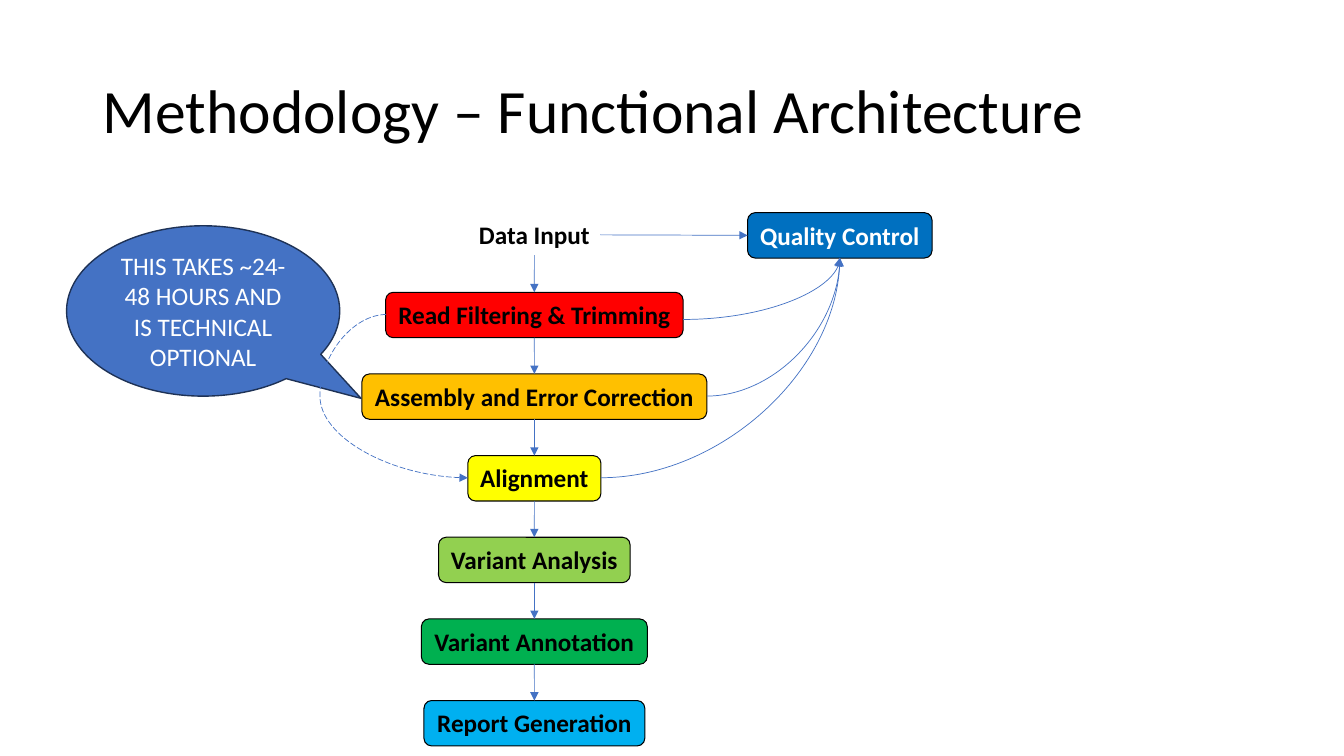
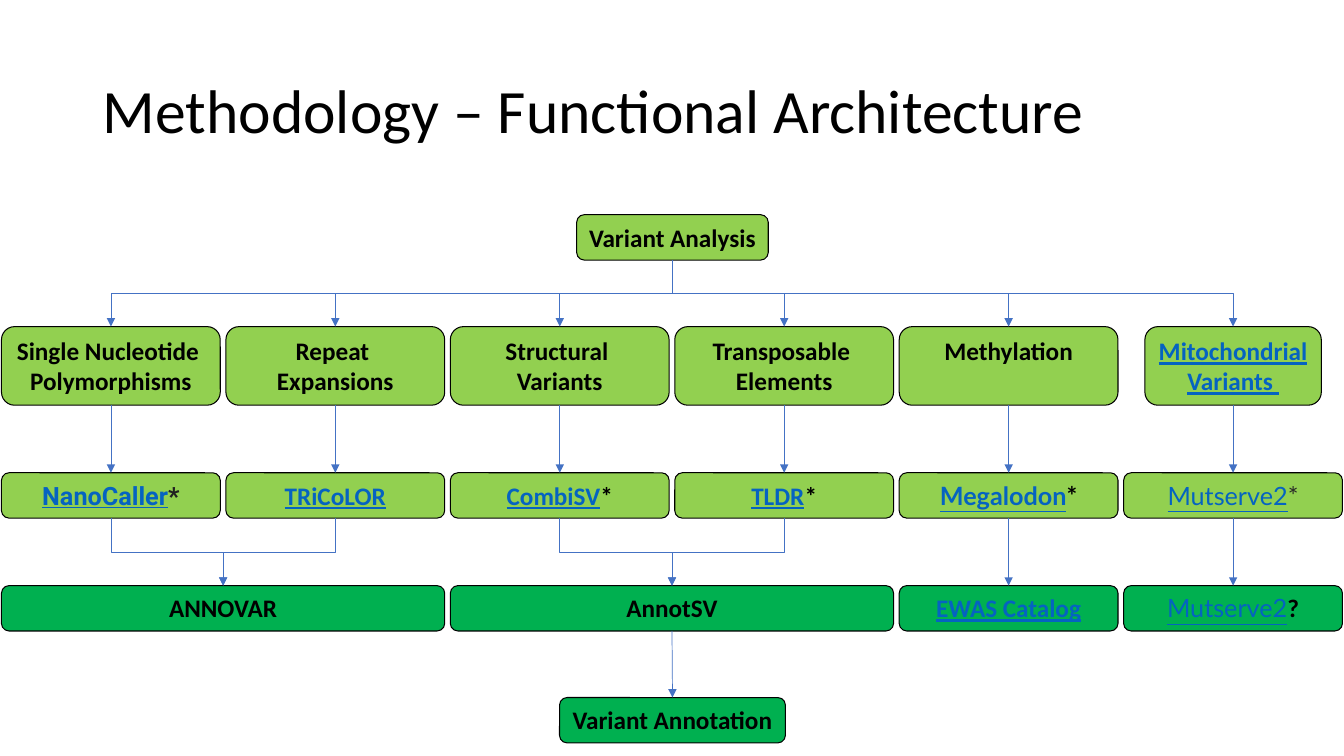
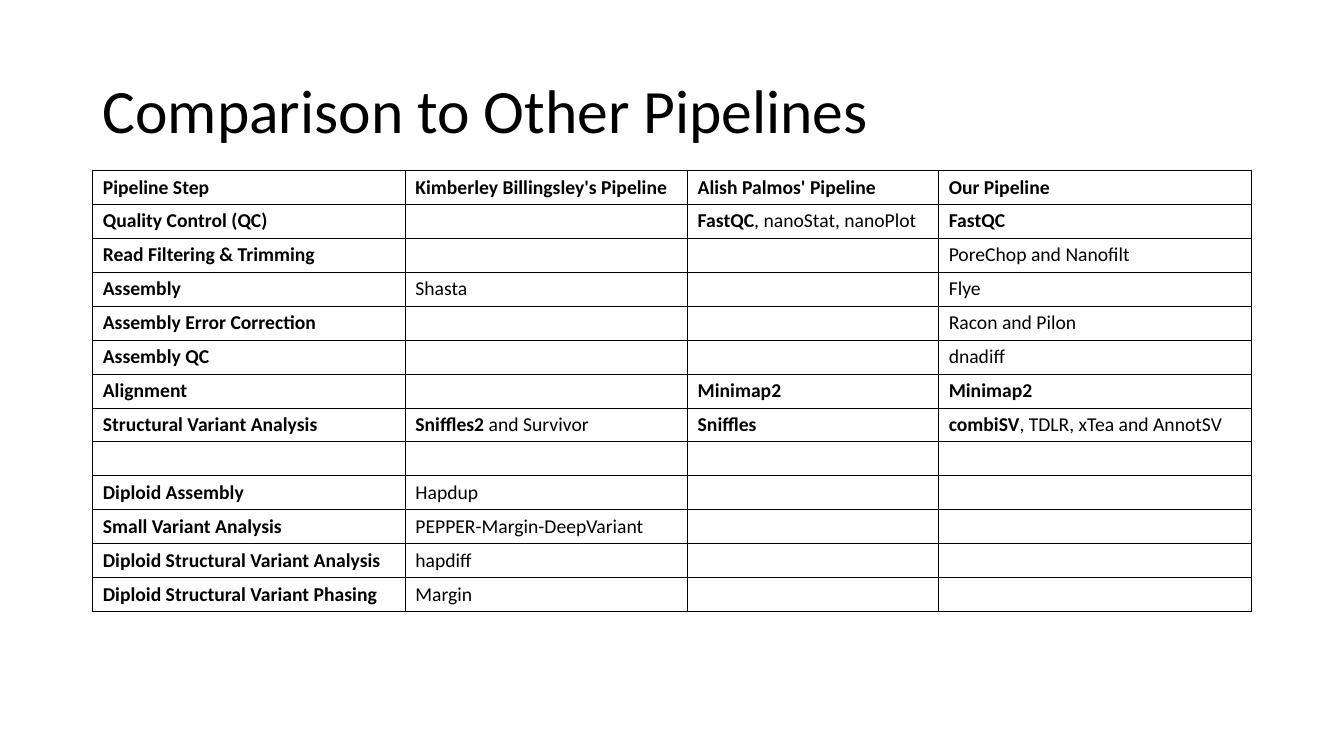
from dataclasses import dataclass
from typing import NamedTuple

import lxml.etree
import pptx
import pptx.dml.color
import pptx.enum.dml
import pptx.enum.shapes
import pptx.enum.text
import pptx.oxml.ns
import pptx.util

COLORS = {
    "black": "000000", "white": "FFFFFF", "blue": "4472C4", "navy": "1E3256",
    "red": "FF0000", "orange": "FFC000", "yellow": "FFFF00", "lime": "92D050",
    "green": "00B050", "sky": "00B0F0", "control": "0070C0", "link": "0563C1",
    "gray21": "212121", "gray28": "282828",
}
FONT = "Calibri"
BOX_H = 0.45
TALL_H = 0.78

Inches = pptx.util.Inches
qn = pptx.oxml.ns.qn
SHAPE = pptx.enum.shapes.MSO_SHAPE
CONNECTOR = pptx.enum.shapes.MSO_CONNECTOR
ANCHOR = pptx.enum.text.MSO_ANCHOR
ALIGN = pptx.enum.text.PP_ALIGN
BOTTOM, RIGHT, TOP, LEFT = 2, 3, 0, 1


@dataclass(frozen=True)
class Run:
    text: str
    color: str = "black"
    bold: bool = True
    underline: bool = False
    font: str = FONT
    size: int = 18


@dataclass(frozen=True)
class Box:
    """A rounded box, placed by its centre line and its top."""
    cx: float
    top: float
    width: float
    fill: str
    lines: list[list[Run]]
    height: float = BOX_H


class Cell(NamedTuple):
    """Table text: a bold part followed by a regular part."""
    bold: str = ""
    regular: str = ""


def rgb(name: str) -> pptx.dml.color.RGBColor:
    return pptx.dml.color.RGBColor.from_string(COLORS[name])


def link(text: str, font: str = FONT, bold: bool = True) -> Run:
    return Run(text, "link", bold, True, font)


def plain_lines(*texts: str) -> list[list[Run]]:
    return [[Run(text)] for text in texts]


def add_run(p, run: Run) -> None:
    r = p.add_run()
    r.text = run.text
    r.font.name = run.font
    r.font.size = pptx.util.Pt(run.size)
    r.font.bold = run.bold
    r.font.underline = run.underline
    r.font.color.rgb = rgb(run.color)


def fill_text(tf, lines: list[list[Run]], align=ALIGN.CENTER) -> None:
    for i, runs in enumerate(lines):
        p = tf.add_paragraph() if i else tf.paragraphs[0]
        p.alignment = align
        for run in runs:
            add_run(p, run)


def add_slide(prs, title: str):
    s = prs.slides.add_slide(prs.slide_layouts[6])
    sp = s.shapes.add_textbox(Inches(0.92), Inches(0.4), Inches(11.5), Inches(1.45))
    tf = sp.text_frame
    tf.word_wrap = True
    tf.vertical_anchor = ANCHOR.MIDDLE
    fill_text(tf, [[Run(title, bold=False, size=44)]], ALIGN.LEFT)
    tf.paragraphs[0].line_spacing = 0.9
    return s


def add_shape(s, kind, left: float, top: float, width: float, height: float,
              fill: str, line: str, line_pt: float):
    sp = s.shapes.add_shape(kind, Inches(left), Inches(top), Inches(width), Inches(height))
    sp.shadow.inherit = False
    sp.fill.solid()
    sp.fill.fore_color.rgb = rgb(fill)
    sp.line.color.rgb = rgb(line)
    sp.line.width = pptx.util.Pt(line_pt)
    return sp


def add_box(s, box: Box):
    sp = add_shape(s, SHAPE.ROUNDED_RECTANGLE, box.cx - box.width / 2, box.top,
                   box.width, box.height, box.fill, "black", 0.75)
    sp.text_frame.word_wrap = False
    sp.text_frame.vertical_anchor = ANCHOR.TOP
    fill_text(sp.text_frame, box.lines)
    return sp


def add_line(s, kind, x1: float, y1: float, x2: float, y2: float, dashed: bool = False):
    """Draw a thin blue connector with an arrowhead at its end."""
    cxn = s.shapes.add_connector(kind, Inches(x1), Inches(y1), Inches(x2), Inches(y2))
    cxn.line.color.rgb = rgb("blue")
    cxn.line.width = pptx.util.Pt(0.5)
    if dashed:
        cxn.line.dash_style = pptx.enum.dml.MSO_LINE.LONG_DASH
    props = cxn._element.spPr
    lxml.etree.SubElement(props.find(qn("a:ln")), qn("a:tailEnd"), type="triangle")
    lxml.etree.SubElement(props, qn("a:effectLst"))
    return cxn


def join(s, start, end, start_side: int = BOTTOM, end_side: int = TOP) -> None:
    cxn = add_line(s, CONNECTOR.STRAIGHT, 0, 0, 1, 1)
    cxn.begin_connect(start, start_side)
    cxn.end_connect(end, end_side)


def add_quarter_curve(s, x1: float, y1: float, x2: float, y2: float) -> None:
    """Curve that leaves sideways and arrives vertically."""
    cxn = add_line(s, CONNECTOR.CURVE, x1, y1, x2, y2)
    cxn._element.spPr.find(qn("a:prstGeom")).set("prst", "curvedConnector2")


def add_side_loop(s, x1: float, y1: float, x2: float, y2: float, bend: int) -> None:
    """Dashed curve that swings out by bend, in 1/100000 of its width."""
    cxn = add_line(s, CONNECTOR.CURVE, x1, y1, x2, y2, dashed=True)
    guides = cxn._element.spPr.find(qn("a:prstGeom")).get_or_add_avLst()
    lxml.etree.SubElement(guides, qn("a:gd"), name="adj1", fmla=f"val {bend}")


def add_elbow(s, x1: float, y1: float, x2: float, y2: float) -> None:
    """Elbow that goes down, sideways and down: a turned horizontal one."""
    cx, cy = (x1 + x2) / 2, (y1 + y2) / 2
    half_w, half_h = (y2 - y1) / 2, abs(x2 - x1) / 2
    turn = 90
    if x2 > x1:
        half_w, turn = -half_w, 270
    cxn = add_line(s, CONNECTOR.ELBOW, cx - half_w, cy - half_h, cx + half_w, cy + half_h)
    cxn._element.spPr.find(qn("a:xfrm")).set("rot", str(turn * 60000))


def build_workflow(prs) -> None:
    s = add_slide(prs, "Methodology – Functional Architecture")
    axis, first_top, pitch = 5.3, 2.9, 0.81
    steps = [
        ("Read Filtering & Trimming", 2.95, "red"),
        ("Assembly and Error Correction", 3.42, "orange"),
        ("Alignment", 1.32, "yellow"),
        ("Variant Analysis", 1.9, "lime"),
        ("Variant Annotation", 2.24, "green"),
        ("Report Generation", 2.19, "sky"),
    ]
    data_input = s.shapes.add_textbox(
        Inches(axis - 0.655), Inches(2.13), Inches(1.31), Inches(0.4))
    data_input.text_frame.word_wrap = False
    fill_text(data_input.text_frame, plain_lines("Data Input"))

    previous = data_input
    for i, (text, width, fill) in enumerate(steps):
        box = add_box(s, Box(axis, first_top + i * pitch, width, fill, plain_lines(text)))
        join(s, previous, box)
        previous = box

    control_x, control_top = 8.33, 2.11
    control = add_box(s, Box(control_x, control_top, 1.83, "control",
                             [[Run("Quality Control", "white")]]))
    join(s, data_input, control, RIGHT, LEFT)
    for (_, width, _), y in zip(steps, (3.17, 3.93, 4.74)):
        add_quarter_curve(s, axis + width / 2, y, control_x, control_top + BOX_H)

    callout = add_shape(s, SHAPE.OVAL_CALLOUT, 0.66, 2.24, 2.71, 1.69, "blue", "navy", 1)
    callout.adjustments[0] = 0.578
    callout.adjustments[1] = 0.513
    callout.text_frame.word_wrap = True
    callout.text_frame.vertical_anchor = ANCHOR.MIDDLE
    fill_text(callout.text_frame, [[Run(
        "THIS TAKES ~24-48 HOURS AND IS TECHNICAL OPTIONAL", "white", bold=False)]])
    add_side_loop(s, 3.83, 3.12, 4.64, 4.74, -81100)


def build_variant_tools(prs) -> None:
    s = add_slide(prs, "Methodology – Functional Architecture")
    middle, col_w = 6.67, 2.17
    first_x, last_x = 1.1, 12.23
    pitch = (last_x - first_x) / 5
    centers = [first_x + i * pitch for i in range(6)]
    root_top, kind_top, tool_top, note_top, end_top = 2.13, 3.24, 4.69, 5.81, 6.92

    kinds = [
        plain_lines("Single Nucleotide ", "Polymorphisms"),
        plain_lines("Repeat ", "Expansions"),
        plain_lines("Structural ", "Variants"),
        plain_lines("Transposable ", "Elements"),
        plain_lines("Methylation"),
        [[link("Mitochondrial")], [link("Variants ")]],
    ]
    mutserve = link("Mutserve2", "Lato", bold=False)
    tools = [
        [link("NanoCaller", "Roboto"), Run("*", "gray21", font="Roboto")],
        [link("TRiCoLOR")],
        [link("CombiSV"), Run("*")],
        [link("TLDR"), Run("*")],
        [link("Megalodon", "Lato"), Run("*", font="Lato")],
        [mutserve, Run("*", "gray28", bold=False, font="Lato")],
    ]

    add_box(s, Box(middle, root_top, 1.9, "lime", plain_lines("Variant Analysis")))
    tool_boxes = []
    for x, kind, tool in zip(centers, kinds, tools):
        width = 1.75 if x == centers[-1] else col_w
        kind_box = add_box(s, Box(x, kind_top, width, "lime", kind, TALL_H))
        tool_box = add_box(s, Box(x, tool_top, col_w, "lime", [tool]))
        add_elbow(s, middle, root_top + BOX_H, x, kind_top)
        join(s, kind_box, tool_box)
        tool_boxes.append(tool_box)

    for first, name in ((0, "ANNOVAR"), (2, "AnnotSV")):
        pair = centers[first:first + 2]
        x = sum(pair) / 2
        pair_box = add_box(s, Box(x, note_top, col_w + pitch, "green", plain_lines(name)))
        for tool_x in pair:
            add_elbow(s, tool_x, tool_top + BOX_H, x, note_top)
    for i, runs in ((4, [link("EWAS Catalog")]), (5, [mutserve, Run("?")])):
        join(s, tool_boxes[i], add_box(s, Box(centers[i], note_top, col_w, "green", [runs])))

    end_box = add_box(s, Box(middle, end_top, 2.24, "green", plain_lines("Variant Annotation")))
    join(s, pair_box, end_box)


def add_borders(cell) -> None:
    props = cell._tc.get_or_add_tcPr()
    for side in ("lnL", "lnR", "lnT", "lnB"):
        ln = lxml.etree.SubElement(props, qn(f"a:{side}"), w=str(pptx.util.Pt(0.5)))
        fill = lxml.etree.SubElement(ln, qn("a:solidFill"))
        lxml.etree.SubElement(fill, qn("a:srgbClr"), val=COLORS["black"])


def build_comparison(prs) -> None:
    s = add_slide(prs, "Comparison to Other Pipelines")
    none = Cell()
    rows = [
        (Cell("Pipeline Step"), Cell("Kimberley Billingsley's Pipeline"),
         Cell("Alish Palmos' Pipeline"), Cell("Our Pipeline")),
        (Cell("Quality Control (QC)"), none,
         Cell("FastQC", ", nanoStat, nanoPlot"), Cell("FastQC")),
        (Cell("Read Filtering & Trimming"), none, none, Cell("", "PoreChop and Nanofilt")),
        (Cell("Assembly"), Cell("", "Shasta"), none, Cell("", "Flye")),
        (Cell("Assembly Error Correction"), none, none, Cell("", "Racon and Pilon")),
        (Cell("Assembly QC"), none, none, Cell("", "dnadiff")),
        (Cell("Alignment"), none, Cell("Minimap2"), Cell("Minimap2")),
        (Cell("Structural Variant Analysis"), Cell("Sniffles2", " and Survivor"),
         Cell("Sniffles"), Cell("combiSV", ", TDLR, xTea and AnnotSV")),
        (none, none, none, none),
        (Cell("Diploid Assembly"), Cell("", "Hapdup"), none, none),
        (Cell("Small Variant Analysis"), Cell("", "PEPPER-Margin-DeepVariant"), none, none),
        (Cell("Diploid Structural Variant Analysis"), Cell("", "hapdiff"), none, none),
        (Cell("Diploid Structural Variant Phasing"), Cell("", "Margin"), none, none),
    ]
    widths = (3.1, 2.8, 2.49, 3.1)
    table = s.shapes.add_table(len(rows), len(widths), Inches(0.92), Inches(1.69),
                               Inches(sum(widths)), Inches(4.38)).table
    table.first_row = False
    table.horz_banding = False
    for column, width in zip(table.columns, widths):
        column.width = Inches(width)
    for r, row in enumerate(rows):
        for c, content in enumerate(row):
            cell = table.cell(r, c)
            add_borders(cell)
            cell.fill.background()
            cell.margin_top = cell.margin_bottom = 0
            cell.vertical_anchor = ANCHOR.MIDDLE
            for text, bold in zip(content, (True, False)):
                if text:
                    add_run(cell.text_frame.paragraphs[0], Run(text, bold=bold, size=14))


def main() -> None:
    prs = pptx.Presentation()
    prs.slide_width = Inches(13.33)
    prs.slide_height = Inches(7.5)
    build_workflow(prs)
    build_variant_tools(prs)
    build_comparison(prs)
    prs.save("out.pptx")


if __name__ == "__main__":
    main()
